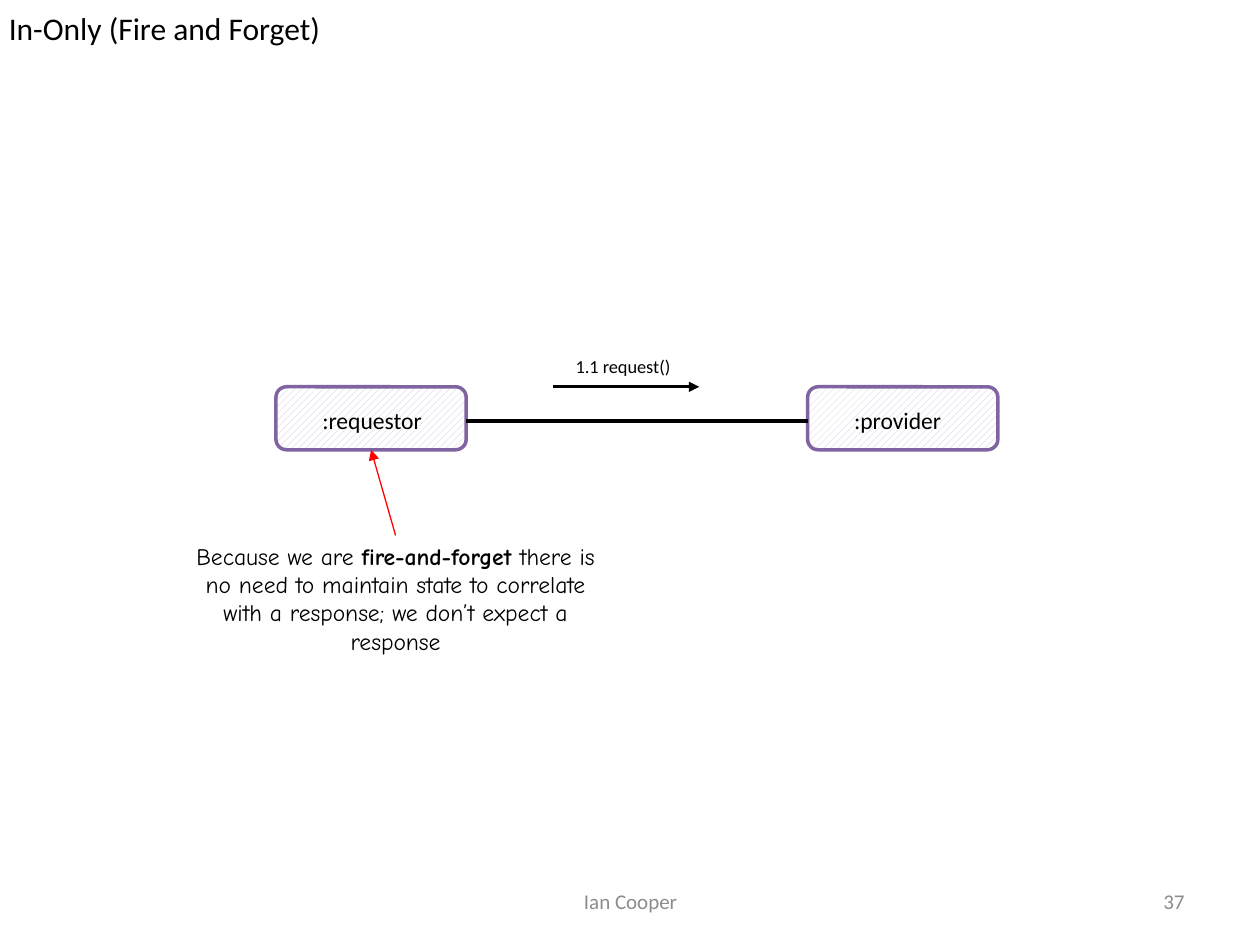
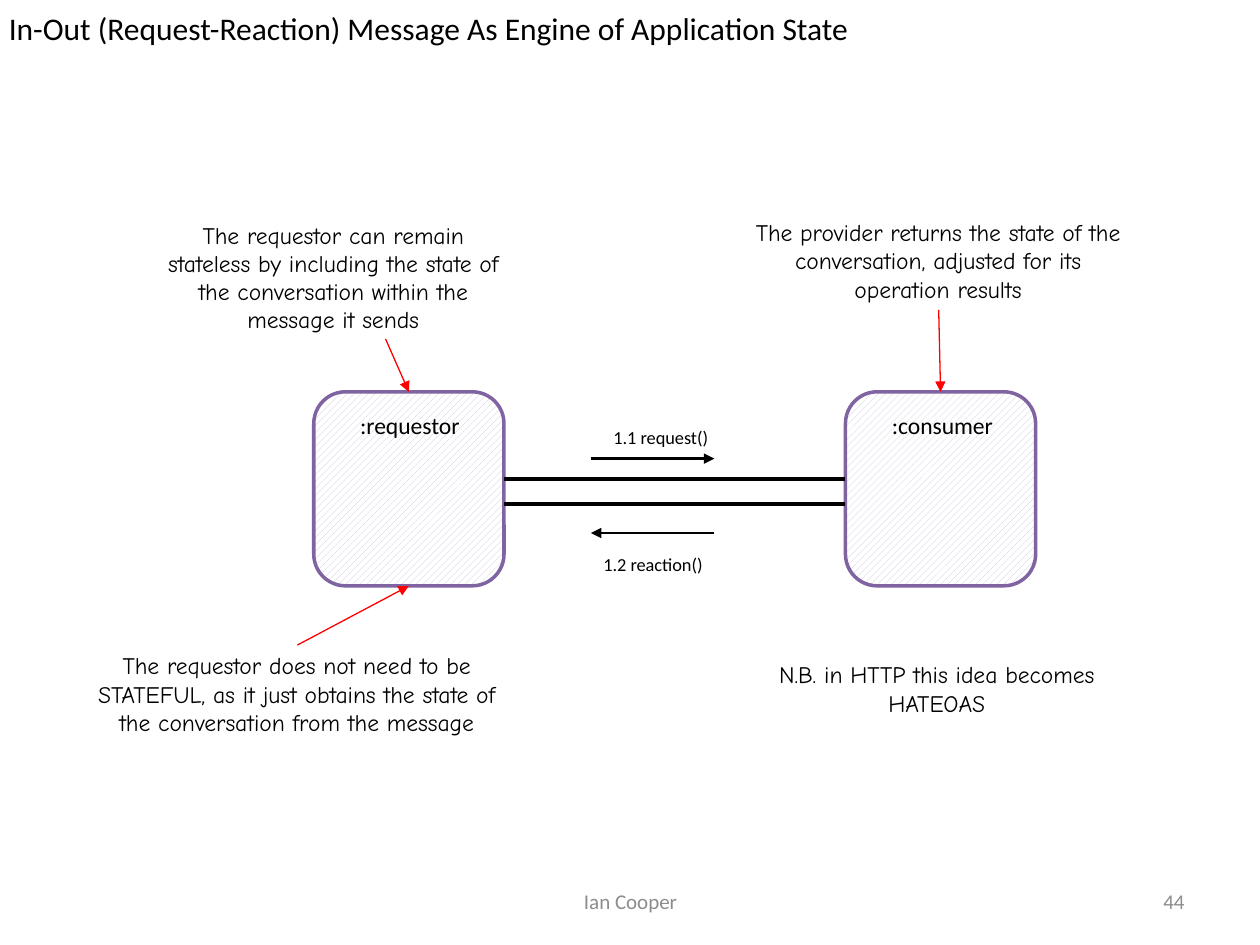
from lxml import etree
from pptx import Presentation
from pptx.dml.color import RGBColor
from pptx.enum.dml import MSO_PATTERN
from pptx.enum.shapes import MSO_CONNECTOR, MSO_SHAPE
from pptx.enum.text import MSO_ANCHOR, MSO_AUTO_SIZE, PP_ALIGN
from pptx.oxml.ns import qn
from pptx.util import Inches, Pt

# Shared style
BLACK = RGBColor(0x00, 0x00, 0x00)
WHITE = RGBColor(0xFF, 0xFF, 0xFF)
GREY = RGBColor(0x8C, 0x8C, 0x8C)
RED = RGBColor(0xFF, 0x00, 0x00)
PURPLE = RGBColor(0x80, 0x64, 0xA2)
LILAC = RGBColor(0xCC, 0xC1, 0xDA)
BODY_FONT, NOTE_FONT = "Calibri", "Comic Neue"

LEFT, CENTER, RIGHT = PP_ALIGN.LEFT, PP_ALIGN.CENTER, PP_ALIGN.RIGHT
TOP, MIDDLE = MSO_ANCHOR.TOP, MSO_ANCHOR.MIDDLE
STRAIGHT = MSO_CONNECTOR.STRAIGHT
ROUNDED = MSO_SHAPE.ROUNDED_RECTANGLE
HATCH = MSO_PATTERN.WIDE_UPWARD_DIAGONAL
NO_AUTOFIT = MSO_AUTO_SIZE.NONE

TITLE_ONLY_LAYOUT = 5
SITE_TOP, SITE_BOTTOM = 0, 2
PARTICIPANT_WIDTH = 1.51
PARTICIPANT_STEP = 4.22
AUTHOR = "Ian Cooper"


def style_runs(paragraph, size, font=BODY_FONT, color=BLACK):
    for run in paragraph.runs:
        run.font.size = Pt(size)
        run.font.name = font
        run.font.color.rgb = color


def add_text(slide, text, box, size, font=BODY_FONT, color=BLACK,
             align=LEFT, anchor=TOP, bold_part=None):
    frame = slide.shapes.add_textbox(*map(Inches, box)).text_frame
    frame.word_wrap = True
    frame.vertical_anchor = anchor
    paragraph = frame.paragraphs[0]
    paragraph.alignment = align
    if bold_part:
        before, after = text.split(bold_part)
        for part in (before, bold_part, after):
            run = paragraph.add_run()
            run.text = part
            run.font.bold = part == bold_part
    else:
        paragraph.text = text
    style_runs(paragraph, size, font, color)


def add_line(slide, start, end, color=BLACK, width=2.5, arrow=False):
    line = slide.shapes.add_connector(STRAIGHT, *map(Inches, start + end))
    line.line.color.rgb = color
    line.line.width = Pt(width)
    if arrow:
        etree.SubElement(line.line._get_or_add_ln(), qn("a:tailEnd"), type="triangle")
    etree.SubElement(line._element.spPr, qn("a:effectLst"))
    return line


def add_framed_slide(deck, title_text, number):
    """Slide with the title, author footer and page number."""
    slide = deck.slides.add_slide(deck.slide_layouts[TITLE_ONLY_LAYOUT])
    title = slide.shapes.title
    title.left, title.top = Inches(0), Inches(0)
    title.width, title.height = Inches(10), Inches(0.45)
    frame = title.text_frame
    frame.text = title_text
    frame.auto_size = NO_AUTOFIT
    frame.word_wrap = True
    frame.vertical_anchor = TOP
    frame.margin_left = frame.margin_right = Inches(0.07)
    frame.margin_top = frame.margin_bottom = Inches(0.07)
    frame.paragraphs[0].alignment = LEFT
    style_runs(frame.paragraphs[0], 18)

    add_text(slide, AUTHOR, (3.42, 6.95, 3.17, 0.4), 12, color=GREY,
             align=CENTER, anchor=MIDDLE)
    add_text(slide, str(number), (7.17, 6.95, 2.33, 0.4), 12, color=GREY,
             align=RIGHT, anchor=MIDDLE)
    return slide


def add_participants(slide, names, left, top, height):
    """Hatched boxes side by side, each with its name near the top."""
    participants = []
    for index, name in enumerate(names):
        x = left + index * PARTICIPANT_STEP
        box = slide.shapes.add_shape(
            ROUNDED, *map(Inches, (x, top, PARTICIPANT_WIDTH, height)))
        box.shadow.inherit = False
        box.fill.patterned()
        box.fill.pattern = HATCH
        box.fill.fore_color.rgb = LILAC
        box.fill.back_color.rgb = WHITE
        box.line.color.rgb = PURPLE
        box.line.width = Pt(2)
        add_text(slide, name, (x + 0.27, top + 0.1, 1.05, 0.33), 13.5)
        participants.append(box)
    return participants


def add_channel(slide, left, y):
    """Thick line across the gap between the two participants."""
    add_line(slide, (left + PARTICIPANT_WIDTH, y), (left + PARTICIPANT_STEP, y))


def add_message(slide, text, start, end, label_at):
    add_line(slide, start, end, width=1.5, arrow=True)
    add_text(slide, text, label_at + (1.3, 0.28), 10.5)


def add_note(slide, text, box, bold_part=None):
    add_text(slide, text, box, 13.5, NOTE_FONT, align=CENTER, bold_part=bold_part)


def add_pointer(slide, start, participant, site):
    """Red arrow from a note to the edge of a participant."""
    pointer = add_line(slide, start, start, RED, 0.75, arrow=True)
    pointer.end_connect(participant, site)


def build_fire_and_forget(deck):
    slide = add_framed_slide(deck, "In-Only (Fire and Forget)", 37)
    left, top = 2.19, 3.07
    requestor, _ = add_participants(slide, (":requestor", ":provider"), left, top, 0.5)
    add_channel(slide, left, 3.34)
    add_message(slide, "1.1 request()", (4.39, top), (5.55, top), (4.47, 2.77))
    add_note(slide, "Because we are fire-and-forget there is no need to maintain state "
             "to correlate with a response; we don’t expect a response",
             (1.36, 4.25, 3.56, 1.01), bold_part="fire-and-forget ")
    add_pointer(slide, (3.14, 4.25), requestor, SITE_BOTTOM)


def build_request_reaction(deck):
    slide = add_framed_slide(
        deck, "In-Out (Request-Reaction) Message As Engine of Application State", 44)
    left = 2.49
    requestor, consumer = add_participants(
        slide, (":requestor", ":consumer"), left, 3.11, 1.54)

    # Request and reaction
    for y in (3.8, 4):
        add_channel(slide, left, y)
    add_message(slide, "1.1 request()", (4.69, 3.64), (5.67, 3.64), (4.77, 3.33))
    add_message(slide, "1.2 reaction()", (5.67, 4.23), (4.69, 4.23), (4.69, 4.34))

    # Notes and their pointers
    add_note(slide, "The provider returns the state of the conversation, adjusted for "
             "its operation results", (5.87, 1.68, 3.15, 0.78))
    add_pointer(slide, (7.45, 2.46), consumer, SITE_TOP)
    add_note(slide, "The requestor can remain stateless by including the state of the "
             "conversation within the message it sends", (1.22, 1.7, 2.85, 1.01))
    add_pointer(slide, (3.06, 2.69), requestor, SITE_TOP)
    add_note(slide, "The requestor does not need to be STATEFUL, as it just obtains the "
             "state of the conversation from the message", (0.53, 5.12, 3.65, 0.78))
    add_pointer(slide, (2.36, 5.12), requestor, SITE_BOTTOM)
    add_note(slide, "N.B. in HTTP this idea becomes HATEOAS", (5.86, 5.19, 3.15, 0.56))


def main():
    deck = Presentation()
    deck.slide_width, deck.slide_height = Inches(10), Inches(7.5)
    build_fire_and_forget(deck)
    build_request_reaction(deck)
    deck.save("out.pptx")


if __name__ == "__main__":
    main()
